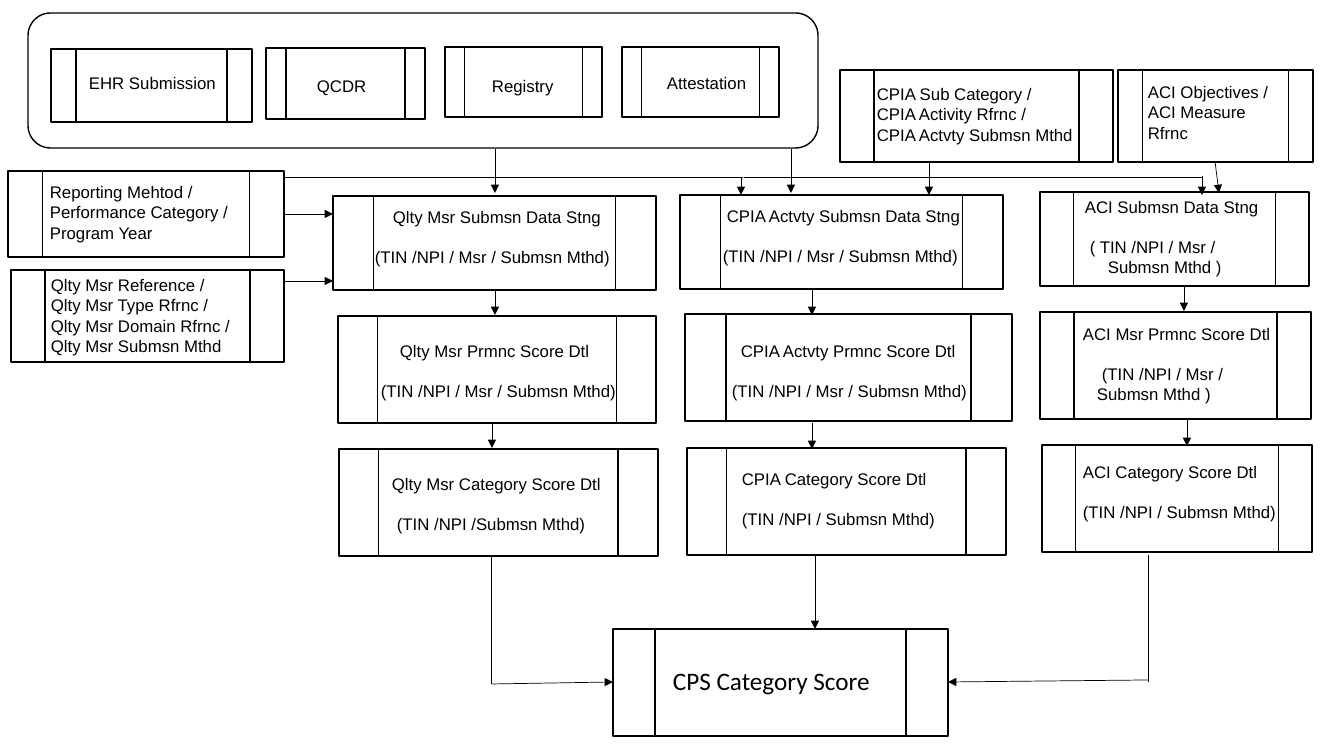
from dataclasses import dataclass

from lxml import etree
from pptx import Presentation
from pptx.dml.color import RGBColor
from pptx.enum.shapes import MSO_CONNECTOR, MSO_SHAPE
from pptx.enum.text import MSO_AUTO_SIZE
from pptx.oxml.ns import qn
from pptx.util import Pt

PROCESS = MSO_SHAPE.FLOWCHART_PREDEFINED_PROCESS
ROUNDED = MSO_SHAPE.FLOWCHART_ALTERNATE_PROCESS
STRAIGHT = MSO_CONNECTOR.STRAIGHT
FIT_SHAPE = MSO_AUTO_SIZE.SHAPE_TO_FIT_TEXT
PX = 914400 / 100.8


@dataclass(frozen=True)
class Theme:
    """Colours, fonts, type sizes and line weights of the slide."""
    ink: RGBColor = RGBColor(0, 0, 0)
    label_font: str = "Arial"
    score_font: str = "Calibri"
    label_size: int = 12
    score_size: int = 18
    key_gap: int = 14
    outline: float = 1
    flow: float = 0.5


THEME = Theme()


def emu(*pixels):
    """Turn pixel lengths into EMU."""
    return [round(p * PX) for p in pixels]


def add_text(place, lines, font=THEME.label_font, size=THEME.label_size,
             wrap=False, indents=(), gap=0):
    """Add a label with one paragraph a line; gap opens space above the second."""
    frame = slide.shapes.add_textbox(*emu(*place)).text_frame
    frame.word_wrap = wrap
    frame.auto_size = FIT_SHAPE
    for i, line in enumerate(lines):
        paragraph = frame.paragraphs[0] if i == 0 else frame.add_paragraph()
        run = paragraph.add_run()
        run.text = line
        run.font.name, run.font.size = font, Pt(size)
        run.font.color.rgb = THEME.ink
        if i == 1 and gap:
            paragraph.space_before = Pt(gap)
        if i < len(indents) and indents[i]:
            paragraph._p.get_or_add_pPr().set("marL", str(emu(indents[i])[0]))


prs = Presentation()
prs.slide_width, prs.slide_height = emu(1344, 756)
slide = prs.slides.add_slide(prs.slide_layouts[6])

MEASURE_KEY = "(TIN /NPI / Msr / Submsn Mthd)"
CATEGORY_KEY = "(TIN /NPI / Submsn Mthd)"
SPLIT_KEY = ["( TIN /NPI / Msr /", "Submsn Mthd )"]
keyed = {"gap": THEME.key_gap}
keyed_wrap = {"gap": THEME.key_gap, "wrap": True}

# Each entry: box, label place, label lines, label format
submission_ways = [
    ((51, 49, 201, 73), (79, 68, 148, 30), ["EHR Submission"], {}),
    ((266, 48, 159, 71), (307, 71, 71, 30), ["QCDR"], {}),
    ((445, 47, 157, 70), (482, 71, 83, 30), ["Registry"], {}),
    ((622, 47, 157, 70), (657, 68, 101, 30), ["Attestation"], {}),
]
references = [
    ((8, 171, 276, 86), (40, 177, 200, 72),
     ["Reporting Mehtod /", "Performance Category /", "Program Year"], {}),
    ((11, 270, 273, 92), (41, 270, 202, 92),
     ["Qlty Msr Reference /", "Qlty Msr Type Rfrnc /",
      "Qlty Msr Domain Rfrnc /", "Qlty Msr Submsn Mthd"], {}),
    ((840, 70, 273, 92), (867, 79, 224, 72),
     ["CPIA Sub Category /", "CPIA Activity Rfrnc /", "CPIA Actvty Submsn Mthd"], {}),
    ((1118, 70, 195, 92), (1138, 77, 155, 72),
     ["ACI Objectives /", "ACI Measure", "Rfrnc"], {"wrap": True}),
]
quality = [
    ((333, 196, 323, 94), (360, 202, 263, 72),
     ["Qlty Msr Submsn Data Stng", MEASURE_KEY], {"indents": (23, 5), **keyed}),
    ((338, 316, 318, 107), (371, 336, 263, 72),
     ["Qlty Msr Prmnc Score Dtl", MEASURE_KEY], {"indents": (19, 0), **keyed}),
    ((339, 449, 319, 107), (382, 469, 232, 72),
     ["Qlty Msr Category Score Dtl", "(TIN /NPI /Submsn Mthd)"],
     {"indents": (0, 5), **keyed}),
]
improvement = [
    ((680, 195, 323, 94), (708, 201, 265, 72),
     ["CPIA Actvty Submsn Data Stng", MEASURE_KEY], {"indents": (9, 5), **keyed}),
    ((685, 314, 327, 107), (722, 336, 263, 72),
     ["CPIA Actvty Prmnc Score Dtl", MEASURE_KEY], {"indents": (9, 0), **keyed}),
    ((687, 448, 319, 107), (732, 464, 216, 72),
     ["CPIA Category Score Dtl", CATEGORY_KEY], keyed),
]
care_information = [
    ((1040, 192, 269, 94), (1075, 192, 225, 92),
     ["ACI Submsn Data Stng", *SPLIT_KEY], {"indents": (0, 5, 23), **keyed_wrap}),
    ((1040, 312, 271, 107), (1073, 319, 223, 92),
     ["ACI Msr Prmnc Score Dtl", "(TIN /NPI / Msr /", SPLIT_KEY[1]],
     {"indents": (0, 19, 14), **keyed_wrap}),
    ((1042, 445, 270, 107), (1073, 457, 219, 72),
     ["ACI Category Score Dtl", CATEGORY_KEY], keyed_wrap),
]
final_score = [
    ((613, 629, 335, 107), (663, 660, 220, 40), ["CPS Category Score"],
     {"font": THEME.score_font, "size": THEME.score_size}),
]
steps = (submission_ways + references + quality + improvement
         + care_information + final_score)

# Boxes
outlines = [(ROUNDED, (28, 13, 790, 135))] + [(PROCESS, step[0]) for step in steps]
for kind, place in outlines:
    box = slide.shapes.add_shape(kind, *emu(*place))
    box.shadow.inherit = False
    box.fill.background()
    box.line.color.rgb = THEME.ink
    box.line.width = Pt(THEME.outline)

# Labels
for _, place, lines, style in steps:
    add_text(place, lines, **style)

# Flows
arrows = [
    (284, 214, 333, 214), (284, 281, 333, 281),        # references to quality
    (495, 149, 495, 193), (791, 149, 791, 193),        # submission ways to staging
    (741, 177, 741, 195), (1202, 176, 1202, 195),      # reporting method to staging
    (929, 161, 929, 195), (1215, 161, 1219, 193),      # references to staging
    (495, 289, 495, 315), (492, 423, 492, 448),        # down the quality column
    (812, 289, 812, 315), (812, 423, 812, 449),        # down the improvement column
    (1184, 286, 1184, 311), (1187, 420, 1187, 446),    # down the ACI column
    (492, 684, 613, 682), (815, 555, 815, 629), (1148, 680, 948, 682),  # to the score
]
plain_lines = [
    (284, 177, 743, 177), (744, 177, 1202, 177),
    (491, 684, 491, 557), (1148, 682, 1148, 555),
]
for ends in arrows + plain_lines:
    flow = slide.shapes.add_connector(STRAIGHT, *emu(*ends))
    flow.line.color.rgb = THEME.ink
    flow.line.width = Pt(THEME.flow)
    if ends in arrows:
        etree.SubElement(flow.line._get_or_add_ln(), qn("a:tailEnd"), type="triangle")
    etree.SubElement(flow._element.spPr, qn("a:effectLst"))

prs.save("out.pptx")
